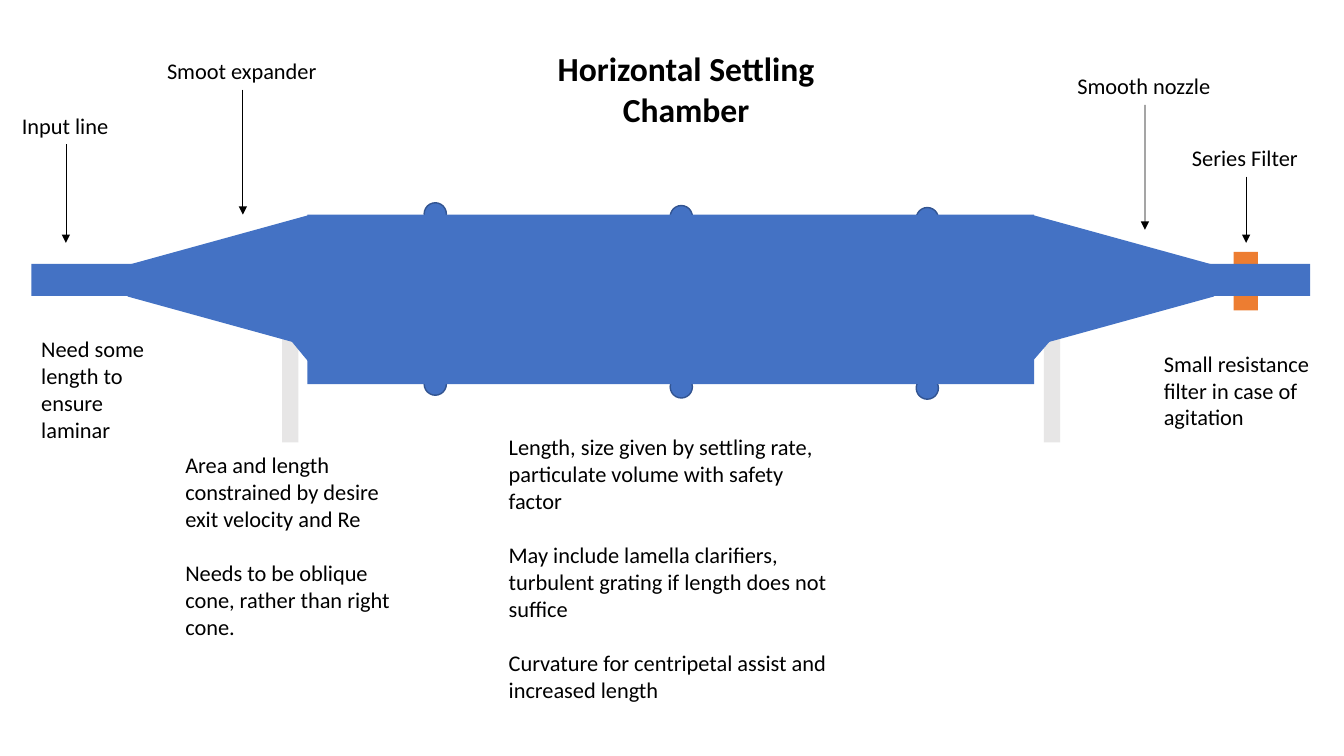
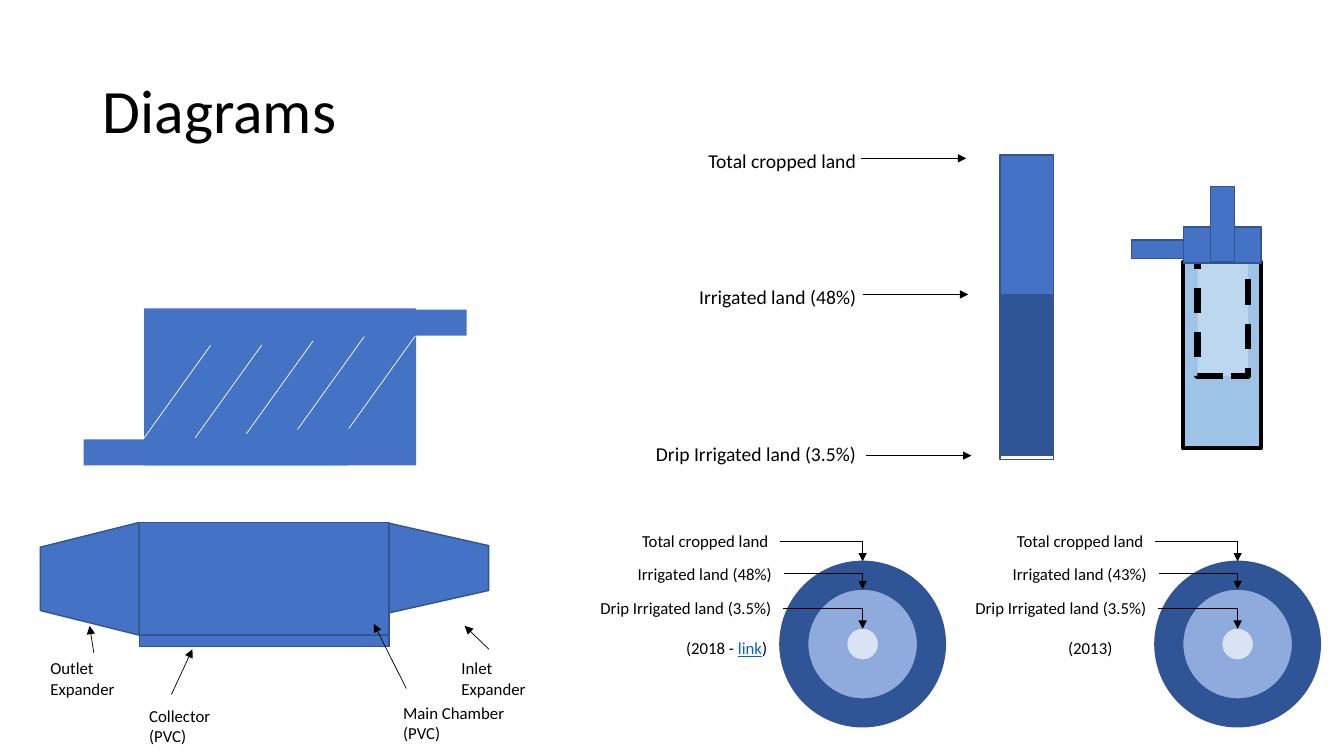
from lxml.etree import SubElement
from pptx import Presentation
from pptx.dml.color import RGBColor
from pptx.enum.dml import MSO_LINE
from pptx.enum.shapes import MSO_CONNECTOR as CXN, MSO_SHAPE as SHP
from pptx.enum.text import MSO_ANCHOR, PP_ALIGN
from pptx.oxml.ns import qn
from pptx.util import Cm, Pt

BLUE, NAVY, EDGE = "4472C4", "2F5597", "325491"
BLACK, WHITE, GREY, ORANGE, LINK = "000000", "FFFFFF", "E7E6E6", "ED7D31", "0563C1"
TOP, RIGHT = 0, 3
BOTTOM = 2


def rgb(value):
    return RGBColor.from_string(value)


class Deck:
    """Shared style plus the slide being drawn; all lengths are centimetres."""
    font = "Calibri"
    thin = 0.5

    def __init__(self):
        self.prs = Presentation()
        self.prs.slide_width, self.prs.slide_height = Cm(33.87), Cm(19.05)
        self.s = None

    def new_slide(self):
        self.s = self.prs.slides.add_slide(self.prs.slide_layouts[6])

    def shape(self, kind, x, y, w, h, fill=BLUE, line=None, width=1, dash=None,
              rot=0, adj=None, flip=False):
        sp = self.s.shapes.add_shape(kind, Cm(x), Cm(y), Cm(w), Cm(h))
        sp.shadow.inherit = False
        sp.fill.solid()
        sp.fill.fore_color.rgb = rgb(fill)
        if line:
            sp.line.color.rgb = rgb(line)
            sp.line.width = Pt(width)
            if dash:
                sp.line.dash_style = dash
        else:
            sp.line.fill.background()
        if adj is not None:
            sp.adjustments[0] = adj
        sp.rotation = rot
        if flip:
            sp.element.spPr.find(qn("a:xfrm")).set("flipV", "1")
        return sp

    def rect(self, x, y, w, h, fill=BLUE, **style):
        return self.shape(SHP.RECTANGLE, x, y, w, h, fill, **style)

    def circle(self, cx, cy, size, fill=BLUE, line=None):
        return self.shape(SHP.OVAL, cx - size / 2, cy - size / 2, size, size, fill, line)

    def text(self, x, y, w, h, *paragraphs, size=16, bold=False, wrap=True,
             align=PP_ALIGN.LEFT, anchor=MSO_ANCHOR.TOP, gap=19.5, spacing=None):
        """Each paragraph is a string or a list of (text, is_link) runs."""
        sp = self.s.shapes.add_textbox(Cm(x), Cm(y), Cm(w), Cm(h))
        tf = sp.text_frame
        tf.word_wrap = wrap
        tf.vertical_anchor = anchor
        for i, runs in enumerate(paragraphs):
            p = tf.add_paragraph() if i else tf.paragraphs[0]
            p.alignment = align
            if i:
                p.space_before = Pt(gap)
            if spacing:
                p.line_spacing = spacing
            for words, is_link in [(runs, False)] if isinstance(runs, str) else runs:
                r = p.add_run()
                r.text = words
                r.font.name, r.font.size, r.font.bold = self.font, Pt(size), bold
                r.font.color.rgb = rgb(LINK if is_link else BLACK)
                r.font.underline = is_link
        return sp

    def line(self, x1, y1, x2, y2, color=BLACK, arrow=False, begin=None, end=None,
             bent=False):
        """begin and end are (shape, site) pairs to join."""
        c = self.s.shapes.add_connector(CXN.ELBOW if bent else CXN.STRAIGHT,
                                        Cm(x1), Cm(y1), Cm(x2), Cm(y2))
        if begin:
            c.begin_connect(*begin)
        if end:
            c.end_connect(*end)
        c.line.color.rgb = rgb(color)
        c.line.width = Pt(self.thin)
        spPr = c.element.spPr
        if bent:
            spPr.find(qn("a:prstGeom")).set("prst", "bentConnector2")
        if arrow:
            SubElement(spPr.find(qn("a:ln")), qn("a:tailEnd"), type="triangle")
        SubElement(spPr, qn("a:effectLst"))
        return c

    def callout(self, x, y, w, words, tip_y):
        """Label with an arrow straight down from its bottom middle."""
        h = 0.94
        label = self.text(x, y, w, h, words, wrap=False)
        cx = x + w / 2
        self.line(cx, y + h, cx, tip_y, arrow=True, begin=(label, BOTTOM))

    def target(self, cx, cy, labels):
        """Three nested circles, each with an elbow arrow from its label."""
        rings = [self.circle(cx, cy, 4.17, NAVY, EDGE),
                 self.circle(cx, cy, 2.77, "8FAADC", EDGE),
                 self.circle(cx, cy, 0.77, "DAE3F3")]
        places = [(5.81, 13.26, 3.73), (5.92, 14.07, 3.94), (6.86, 14.94, 4.85)]
        for ring, words, (back, y, w) in zip(rings, labels, places):
            x, h = cx - back, 0.76
            label = self.text(x, y, w, h, words, size=12, wrap=False)
            self.line(x + w, y + h / 2, cx, y + 1, arrow=True, bent=True,
                      begin=(label, RIGHT), end=(ring, TOP))


def settling_chamber(d):
    d.new_slide()
    for i, (top, bottom) in enumerate([(5.39, 9.68), (5.46, 9.75), (5.51, 9.78)]):
        for cy in (top, bottom):
            d.circle(10.97 + 6.2 * i, cy, 0.56, line=EDGE)
    for x in (7.11, 26.31):
        d.rect(x, 8.53, 0.41, 2.62, GREY)
    d.rect(31.09, 6.35, 0.61, 1.47, ORANGE)
    for pipe_x, cone_x, rot in [(0.79, 3.84, 270), (30.18, 26.67, 90)]:
        d.rect(pipe_x, 6.65, 2.84, 0.81)
        d.shape(SHP.TRAPEZOID, cone_x, 4.8, 3.3, 4.55, rot=rot, adj=0.38)
    d.rect(7.75, 5.41, 18.31, 4.27)
    d.shape(SHP.RIGHT_TRIANGLE, 25.81, 7.98, 1.07, 1.5, rot=76.5)
    d.shape(SHP.RIGHT_TRIANGLE, 7.06, 8.15, 1.07, 1.5, rot=104.9, flip=True)

    d.callout(0.3, 2.69, 2.72, "Input line", 6.12)
    d.callout(3.96, 1.32, 4.32, "Smoot expander", 5.41)
    d.callout(26.9, 1.7, 3.91, "Smooth nozzle", 5.79)
    d.callout(29.79, 3.51, 3.23, "Series Filter", 6.12)

    d.text(12.83, 1.09, 8.92, 2.31, "Horizontal Settling Chamber",
           size=24, bold=True, align=PP_ALIGN.CENTER)
    d.text(0.79, 8.33, 3.63, 3, "Need some length to ensure laminar")
    d.text(4.42, 11.25, 6.17, 5.05,
           "Area and length constrained by desire exit velocity and Re",
           "Needs to be oblique cone, rather than right cone.")
    d.text(12.57, 10.8, 8.66, 7.09,
           "Length, size given by settling rate, particulate volume with safety factor",
           "May include lamella clarifiers, turbulent grating if length does not suffice",
           "Curvature for centripetal assist and increased length")
    d.text(29.08, 8.69, 4.32, 2.31, "Small resistance filter in case of agitation")


def lamella_box(d):
    d.rect(5.11, 7.8, 6.65, 0.66)
    d.rect(3.63, 7.77, 6.86, 3.96)
    for i, y in enumerate([8.7, 8.69, 8.59, 8.48, 8.46]):
        x = 3.63 + 1.29 * i
        d.line(x + 1.68, y, x, y + 2.34, WHITE)
    d.rect(2.11, 11.07, 6.65, 0.66)


def expander_vessel(d):
    d.rect(3.51, 13.16, 6.3, 2.84, line=EDGE)
    d.rect(3.51, 16, 6.3, 0.3, line=EDGE)
    d.shape(SHP.TRAPEZOID, 9.93, 13.06, 2.26, 2.51, line=EDGE, rot=90)
    d.shape(SHP.TRAPEZOID, 0.84, 13.34, 2.84, 2.49, line=EDGE, rot=270)
    parts = [("Inlet Expander", 11.38, 16.46, 2.41, (12.32, 16.36, 11.71, 15.77)),
             ("Main Chamber (PVC)", 9.91, 17.58, 3.3, (10.24, 17.35, 9.42, 15.72)),
             ("Collector (PVC)", 3.51, 17.65, 2.49, (4.32, 17.5, 4.85, 16.36))]
    for words, x, y, w, arrow in parts:
        d.text(x, y, w, 0.64, words, size=12)
        d.line(*arrow, arrow=True)
    outlet = d.text(1.02, 16.46, 2.69, 0.64, "Outlet Expander", size=12)
    d.line(2.36, 16.46, 2.26, 15.77, arrow=True, begin=(outlet, TOP))


def canister(d):
    d.rect(29.82, 6.6, 1.96, 4.7, "9DC3E6", line=BLACK, width=3)
    d.rect(30.18, 6.43, 1.27, 3.05, "BDD7EE", line=BLACK, width=4.5, dash=MSO_LINE.DASH)
    for box in [(29.82, 5.72, 1.96, 0.91), (30.51, 4.7, 0.61, 1.9), (28.52, 6.05, 1.3, 0.46)]:
        d.rect(*box, line=EDGE)


def land_bar(d, labels):
    for y, h, fill in [(3.91, 7.62, BLUE), (7.42, 4.09, NAVY), (11.48, 0.1, WHITE)]:
        d.rect(25.2, y, 1.35, h, fill, line=EDGE)
    places = [(17.6, 3.63, 4.27, 21.69, 3.99), (17.37, 7.06, 4.52, 21.74, 7.42),
              (16.28, 11, 5.61, 21.82, 11.48)]
    for words, (x, y, w, arrow_x, arrow_y) in zip(labels, places):
        d.text(x, y, w, 0.86, words, size=14, wrap=False)
        d.line(arrow_x, arrow_y, arrow_x + 2.66, arrow_y, arrow=True)


def diagrams(d):
    d.new_slide()
    d.text(2.34, 1.02, 29.21, 3.68, "Diagrams", size=44,
           anchor=MSO_ANCHOR.MIDDLE, spacing=0.9)
    lamella_box(d)
    expander_vessel(d)
    canister(d)
    total, drip = "Total cropped land", "Drip Irrigated land (3.5%)"
    labels_2018 = [total, "Irrigated land (48%)", drip]
    labels_2013 = [total, "Irrigated land (43%)", drip]
    land_bar(d, labels_2018)
    d.target(21.74, 16.23, labels_2018)
    d.target(31.19, 16.23, labels_2013)
    d.text(17.04, 15.95, 2.59, 0.76,
           [("(2018 - ", False), ("link", True), (")", False)], size=12, wrap=False)
    d.text(26.67, 15.95, 1.65, 0.76, "(2013)", size=12, wrap=False)


def main():
    d = Deck()
    settling_chamber(d)
    diagrams(d)
    d.prs.save("out.pptx")


if __name__ == "__main__":
    main()
